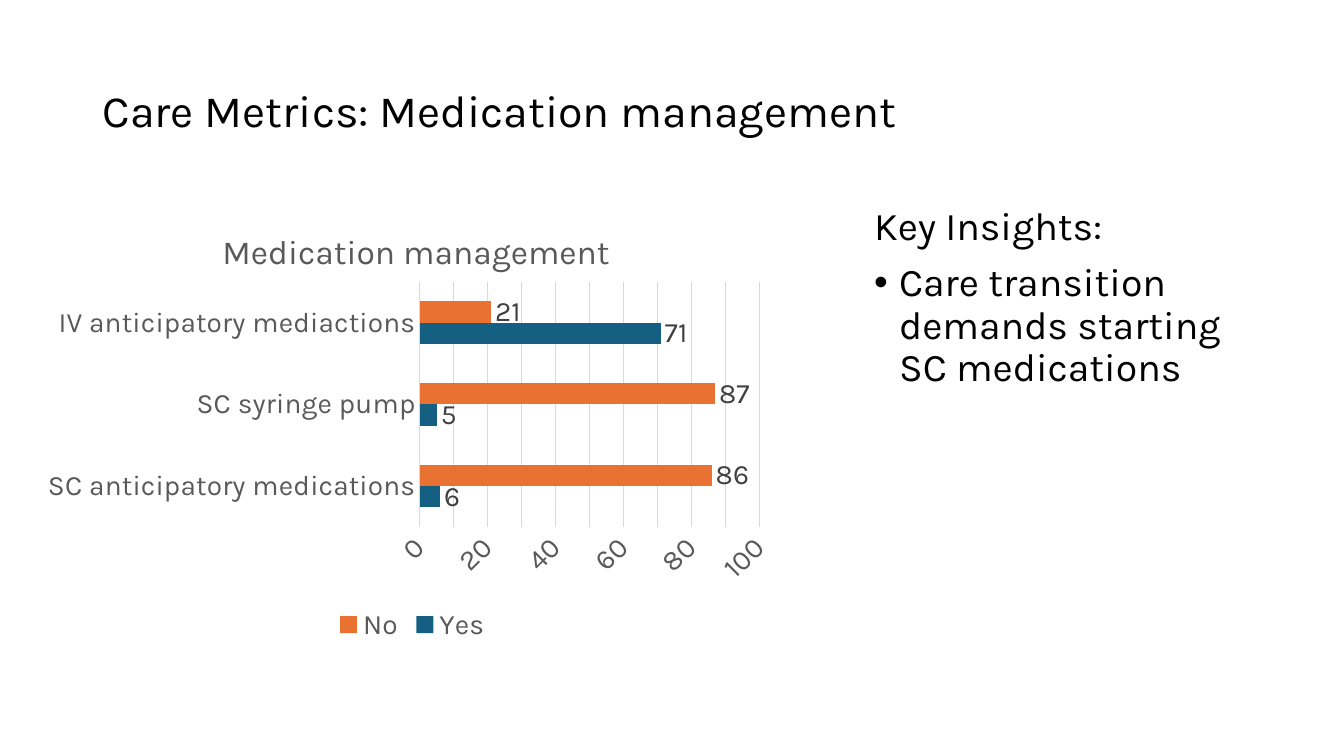
from dataclasses import dataclass

from lxml import etree
from pptx import Presentation
from pptx.chart.data import CategoryChartData
from pptx.dml.color import RGBColor
from pptx.enum.chart import (XL_CHART_TYPE, XL_LABEL_POSITION,
                             XL_LEGEND_POSITION, XL_TICK_MARK)
from pptx.enum.text import MSO_ANCHOR
from pptx.oxml.ns import qn
from pptx.util import Inches, Pt

BAR_CLUSTERED = XL_CHART_TYPE.BAR_CLUSTERED
OUTSIDE_END = XL_LABEL_POSITION.OUTSIDE_END
LEGEND_BOTTOM = XL_LEGEND_POSITION.BOTTOM
NO_TICK = XL_TICK_MARK.NONE
MIDDLE = MSO_ANCHOR.MIDDLE


@dataclass(frozen=True)
class Theme:
    font: str = "Karla"
    text: RGBColor = RGBColor(0x00, 0x00, 0x00)
    muted: RGBColor = RGBColor(0x59, 0x59, 0x59)
    label: RGBColor = RGBColor(0x40, 0x40, 0x40)
    grid: RGBColor = RGBColor(0xD9, 0xD9, 0xD9)
    yes: RGBColor = RGBColor(0x15, 0x60, 0x82)
    no: RGBColor = RGBColor(0xE9, 0x71, 0x32)
    title_size: int = 32
    body_size: int = 28
    chart_title_size: int = 24
    chart_size: int = 20


THEME = Theme()

CATEGORIES = ["SC anticipatory medications", "SC syringe pump",
              "IV anticipatory mediactions"]
SERIES = [("Yes", (6, 5, 71), THEME.yes), ("No", (86, 87, 21), THEME.no)]


def set_font(font, size, color):
    font.name = THEME.font
    font.size = Pt(size)
    font.bold = False
    font.color.rgb = color


def add_text(slide, box, size, lines):
    """Place a text box with one paragraph for each line."""
    frame = slide.shapes.add_textbox(*box).text_frame
    frame.word_wrap = True
    frame.text = "\n".join(lines)
    for paragraph in frame.paragraphs:
        paragraph.line_spacing = 0.9
        for run in paragraph.runs:
            set_font(run.font, size, THEME.text)
    return frame


def add_title(slide, box):
    frame = add_text(slide, box, THEME.title_size,
                     ["Care Metrics: Medication management"])
    frame.vertical_anchor = MIDDLE


def add_insights(slide, box):
    frame = add_text(slide, box, THEME.body_size,
                     ["Key Insights:",
                      "Care transition demands starting SC medications"])
    bullet = frame.paragraphs[1]
    bullet.space_before = Pt(10)
    properties = bullet._p.get_or_add_pPr()
    properties.set("marL", str(Inches(0.25)))
    properties.set("indent", str(-Inches(0.25)))
    etree.SubElement(properties, qn("a:buFont")).set("typeface", "Arial")
    etree.SubElement(properties, qn("a:buChar")).set("char", "•")


def set_layout(parent, position, **settings):
    """Fix a chart part at fractions of the chart's box."""
    for old in parent.findall(qn("c:layout")):
        parent.remove(old)
    layout = etree.Element(qn("c:layout"))
    manual = etree.SubElement(layout, qn("c:manualLayout"))
    for name, value in {**settings, **position}.items():
        etree.SubElement(manual, qn("c:" + name)).set("val", str(value))
    text = parent.find(qn("c:tx"))
    parent.insert(0 if text is None else 1, layout)


def style_axes(chart):
    category_axis, value_axis = chart.category_axis, chart.value_axis
    for axis in (category_axis, value_axis):
        axis.major_tick_mark = axis.minor_tick_mark = NO_TICK
        set_font(axis.tick_labels.font, THEME.chart_size, THEME.muted)
    value_axis.minimum_scale, value_axis.maximum_scale = 0, 100
    value_axis.major_unit = 10
    value_axis.format.line.fill.background()
    value_axis.has_major_gridlines = True
    for line in (category_axis.format.line,
                 value_axis.major_gridlines.format.line):
        line.color.rgb = THEME.grid
        line.width = Pt(0.75)
    # Slanted value labels
    body = value_axis._element.find(qn("c:txPr")).find(qn("a:bodyPr"))
    body.set("rot", str(-45 * 60000))
    body.set("vert", "horz")


def add_medication_chart(slide, box):
    data = CategoryChartData()
    data.categories = CATEGORIES
    for name, values, _ in SERIES:
        data.add_series(name, values)
    chart = slide.shapes.add_chart(BAR_CLUSTERED, *box, data).chart
    set_font(chart.font, THEME.chart_size, THEME.text)

    # Title
    chart.has_title = True
    title = chart.chart_title
    title.text_frame.text = "Medication management"
    set_font(title.text_frame.paragraphs[0].runs[0].font,
             THEME.chart_title_size, THEME.muted)
    title.include_in_layout = False
    set_layout(title._element, {"x": 0.24, "y": 0.05},
               xMode="edge", yMode="edge")

    # Legend
    chart.has_legend = True
    chart.legend.position = LEGEND_BOTTOM
    chart.legend.include_in_layout = False
    set_font(chart.legend.font, THEME.chart_size, THEME.muted)

    # Bars and their values
    plot = chart.plots[0]
    plot.gap_width = 182
    plot.overlap = 0
    plot.vary_by_categories = False
    for series, (_, _, color) in zip(plot.series, SERIES):
        series.format.fill.solid()
        series.format.fill.fore_color.rgb = color
        labels = series.data_labels
        labels.show_value = True
        labels.position = OUTSIDE_END
        set_font(labels.font, THEME.chart_size, THEME.label)

    style_axes(chart)
    plot_area = chart._chartSpace.chart.plotArea
    set_layout(plot_area, {"x": 0.51, "y": 0.18, "w": 0.45, "h": 0.55},
               layoutTarget="inner", xMode="edge", yMode="edge")


def main():
    presentation = Presentation()
    presentation.slide_width = Inches(13.33)
    presentation.slide_height = Inches(7.5)
    slide = presentation.slides.add_slide(presentation.slide_layouts[6])
    add_insights(slide, [Inches(v) for v in (8.57, 2, 3.85, 2.19)])
    add_title(slide, [Inches(v) for v in (0.92, 0.4, 11.5, 1.45)])
    add_medication_chart(slide, [Inches(v) for v in (0.35, 2, 7.48, 4.42)])
    presentation.save("out.pptx")


if __name__ == "__main__":
    main()
